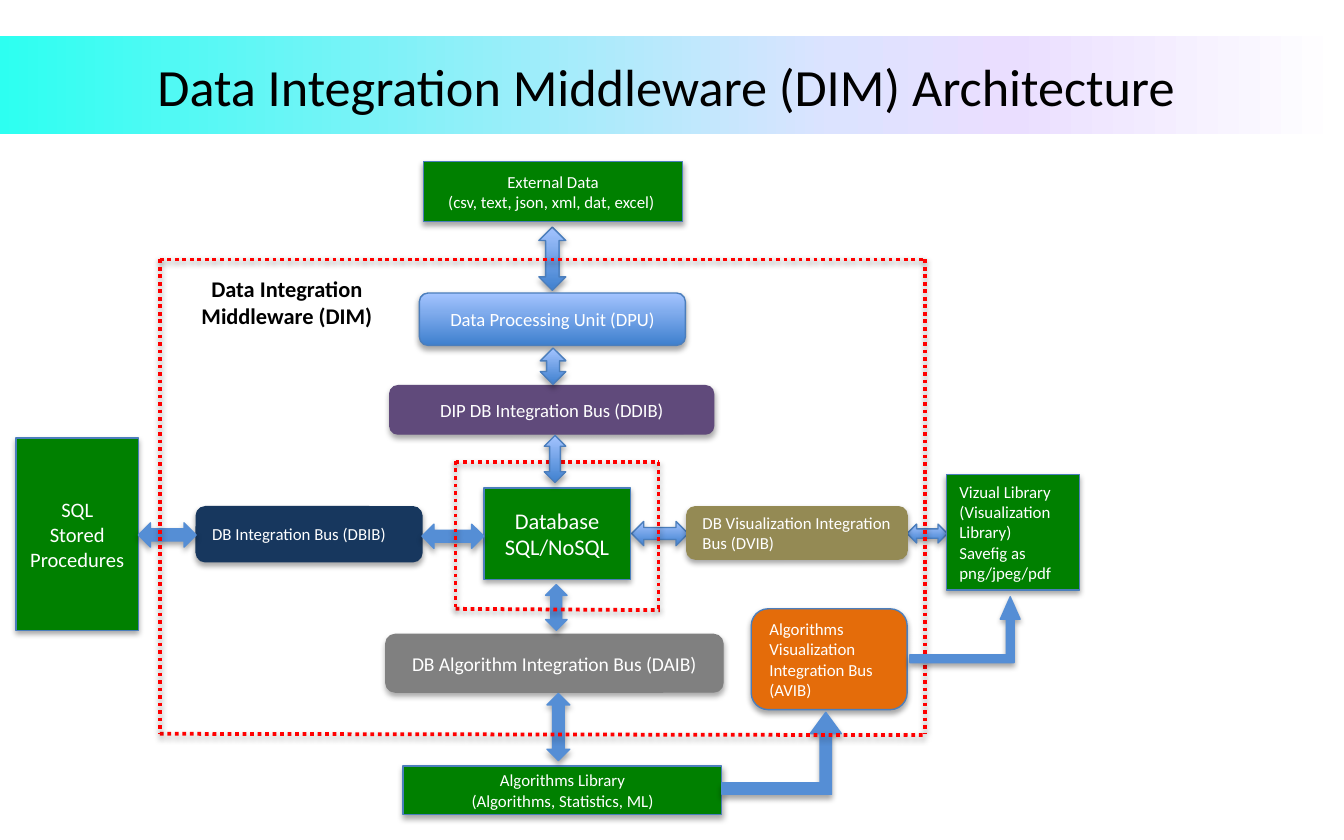
"""Build the Data Integration Middleware architecture slide."""
import lxml.etree
import pptx
import pptx.dml.color
import pptx.enum.dml
import pptx.enum.shapes
import pptx.enum.text
import pptx.oxml.ns
import pptx.util

Inches, Pt = pptx.util.Inches, pptx.util.Pt
KIND = pptx.enum.shapes.MSO_SHAPE
ALIGN = pptx.enum.text.PP_ALIGN
qn = pptx.oxml.ns.qn

COLORS = {
    "black": "000000", "white": "FFFFFF", "red": "FF0000", "green": "008000",
    "outline": "4B7EBC", "arrow": "558ED5", "olive": "948A54", "gray": "808080",
    "orange": "E46C0A", "navy": "17375E", "purple": "604A7B",
}
GRADIENTS = {
    "blue": (90, [(0, "3F80CE"), (100, "A4C4FF")]),
    "band": (0, [(0, "2DFFF1"), (62, "DCE3FF"), (75, "EADEFF"), (100, "FFFFFF")]),
}


class Diagram:
    def __init__(self, slide, font="Calibri"):
        self.s = slide
        self.font = font

    def rgb(self, name):
        return pptx.dml.color.RGBColor.from_string(COLORS[name])

    def shadow(self, sp, opacity, blur, dist):
        effects = lxml.etree.SubElement(sp._element.spPr, qn("a:effectLst"))
        outer = lxml.etree.SubElement(
            effects, qn("a:outerShdw"), blurRad=str(Pt(blur)), dist=str(Pt(dist)),
            dir="5400000", rotWithShape="0")
        color = lxml.etree.SubElement(outer, qn("a:srgbClr"), val=COLORS["black"])
        lxml.etree.SubElement(color, qn("a:alpha"), val=str(opacity * 1000))

    def paint(self, sp, fill):
        if fill not in GRADIENTS:
            sp.fill.solid()
            sp.fill.fore_color.rgb = self.rgb(fill)
            return
        angle, stops = GRADIENTS[fill]
        sp.fill.gradient()
        sp.fill.gradient_angle = angle
        gs_list = sp._element.spPr.find(".//" + qn("a:gsLst"))
        for old in list(gs_list):
            gs_list.remove(old)
        for pos, color in stops:
            gs = lxml.etree.SubElement(gs_list, qn("a:gs"), pos=str(pos * 1000))
            lxml.etree.SubElement(gs, qn("a:srgbClr"), val=color)

    def text(self, sp, lines, size, color, align=ALIGN.CENTER, bold=False, inset=None):
        tf = sp.text_frame
        tf.word_wrap = True
        if inset is not None:
            tf.margin_left = tf.margin_right = Inches(inset)
            tf.margin_top = tf.margin_bottom = Inches(inset)
        for i, line in enumerate(lines):
            p = tf.add_paragraph() if i else tf.paragraphs[0]
            p.text = line
            p.alignment = align
            p.font.name = self.font
            p.font.size = Pt(size)
            p.font.bold = bold
            p.font.color.rgb = self.rgb(color)
        return tf

    def label(self, at, lines, size, anchor, **style):
        sp = self.s.shapes.add_textbox(*map(Inches, at))
        self.text(sp, lines, size, "black", **style).vertical_anchor = anchor

    def band(self, at):
        sp = self.s.shapes.add_shape(KIND.RECTANGLE, *map(Inches, at))
        self.paint(sp, "band")
        sp.line.fill.background()
        sp.shadow.inherit = False

    def shape(self, kind, at, fill, line):
        sp = self.s.shapes.add_shape(kind, *map(Inches, at))
        self.paint(sp, fill)
        sp.line.color.rgb = self.rgb(line)
        sp.line.width = Pt(0.75)
        self.shadow(sp, 35, 3.1, 1.8)
        return sp

    def box(self, kind, at, fill, line, size, align, lines):
        sp = self.shape(kind, at, fill, line)
        tf = self.text(sp, lines, size, "white", align)
        tf.vertical_anchor = pptx.enum.text.MSO_ANCHOR.MIDDLE

    def arrow(self, kind, at, fill, adjustments=()):
        line = "outline" if fill == "blue" else fill
        sp = self.shape(kind, at, fill, line)
        for i, value in enumerate(adjustments):
            sp.adjustments[i] = value

    def border(self, x1, y1, x2, y2):
        line = self.s.shapes.add_connector(
            pptx.enum.shapes.MSO_CONNECTOR.STRAIGHT, *map(Inches, (x1, y1, x2, y2)))
        line.line.color.rgb = self.rgb("red")
        line.line.width = Pt(2)
        line.line.dash_style = pptx.enum.dml.MSO_LINE.ROUND_DOT
        self.shadow(line, 38, 3.1, 1.6)


RECT, ROUND = KIND.RECTANGLE, KIND.ROUNDED_RECTANGLE
VERT, HORIZ, BENT = KIND.UP_DOWN_ARROW, KIND.LEFT_RIGHT_ARROW, KIND.BENT_UP_ARROW
LEFT, CENTER = ALIGN.LEFT, ALIGN.CENTER

BACK_ARROWS = [
    (VERT, (4.01, 1.69, 0.2, 0.47), "blue"),
    (HORIZ, (4.7, 3.88, 0.42, 0.18), "blue"),
    (HORIZ, (6.75, 3.9, 0.3, 0.14), "blue"),
]
BACK_BORDERS = [
    (3.39, 3.44, 4.9, 3.44), (1.19, 1.93, 6.88, 1.93), (6.88, 1.93, 6.88, 5.46),
]
BOXES = [
    (RECT, (3.15, 1.2, 1.93, 0.45), "green", "outline", 9, CENTER,
     ["External Data", "(csv, text, json, xml, dat, excel) "]),
    (ROUND, (3.12, 2.18, 1.98, 0.39), "blue", "outline", 10, CENTER,
     ["Data Processing Unit (DPU)"]),
    (ROUND, (2.9, 2.87, 2.41, 0.36), "purple", "purple", 10, CENTER,
     ["DIP DB Integration Bus (DDIB)"]),
    (RECT, (0.12, 3.26, 0.91, 1.43), "green", "outline", 11, CENTER,
     ["SQL", "Stored", "Procedures"]),
    (ROUND, (1.46, 3.77, 1.68, 0.41), "navy", "navy", 9, LEFT,
     ["DB Integration Bus (DBIB)"]),
    (RECT, (3.6, 3.63, 1.09, 0.68), "green", "outline", 12, CENTER,
     ["Database", "SQL/NoSQL"]),
    (ROUND, (5.11, 3.77, 1.64, 0.39), "olive", "olive", 9, LEFT,
     ["DB Visualization Integration Bus (DVIB)"]),
    (RECT, (7.04, 3.53, 0.99, 0.86), "green", "outline", 9, LEFT,
     ["Vizual Library", "(Visualization Library)", "Savefig as png/jpeg/pdf"]),
    (ROUND, (2.87, 4.72, 2.51, 0.43), "gray", "gray", 10.5, CENTER,
     ["DB Algorithm Integration Bus (DAIB)"]),
    (ROUND, (5.59, 4.53, 1.16, 0.75), "orange", "outline", 9, LEFT,
     ["Algorithms Visualization", "Integration Bus", "(AVIB)"]),
    (RECT, (3, 5.7, 2.37, 0.36), "green", "outline", 9, CENTER,
     ["Algorithms Library", "(Algorithms, Statistics, ML)"]),
]
ARROWS = [
    (VERT, (4.07, 5.16, 0.17, 0.5), "arrow"),
    (VERT, (4.06, 4.35, 0.16, 0.34), "arrow"),
    (HORIZ, (1.03, 3.89, 0.43, 0.18), "arrow"),
    (HORIZ, (3.14, 3.9, 0.46, 0.18), "arrow"),
    (VERT, (4.02, 2.59, 0.19, 0.27), "blue"),
    (VERT, (4.05, 3.24, 0.16, 0.35), "blue"),
    (BENT, (6.77, 4.44, 0.82, 0.49), "arrow", (0.12, 0.15, 0.34)),
    (BENT, (5.37, 5.3, 0.89, 0.61), "arrow", (0.14, 0.19, 0.26)),
]
FRONT_BORDERS = [
    (1.19, 5.46, 6.88, 5.47), (1.19, 1.93, 1.19, 5.46), (3.39, 4.53, 4.91, 4.54),
    (3.39, 3.43, 3.39, 4.53), (4.9, 3.44, 4.9, 4.54),
]


def main():
    prs = pptx.Presentation()
    prs.slide_width, prs.slide_height = Inches(10), Inches(6.25)
    d = Diagram(prs.slides.add_slide(prs.slide_layouts[6]))
    anchors = pptx.enum.text.MSO_ANCHOR
    d.band((0, 0.27, 10, 0.73))
    d.label((0.12, 0.27, 9.76, 0.73), ["Data Integration Middleware (DIM) Architecture "],
            28, anchors.MIDDLE, inset=0)
    d.label((1.23, 2, 1.81, 0.5), ["Data Integration Middleware (DIM)"],
            12, anchors.TOP, bold=True)
    for arrow in BACK_ARROWS:
        d.arrow(*arrow)
    for border in BACK_BORDERS:
        d.border(*border)
    for box in BOXES:
        d.box(*box)
    for arrow in ARROWS:
        d.arrow(*arrow)
    for border in FRONT_BORDERS:
        d.border(*border)
    prs.save("out.pptx")


if __name__ == "__main__":
    main()
